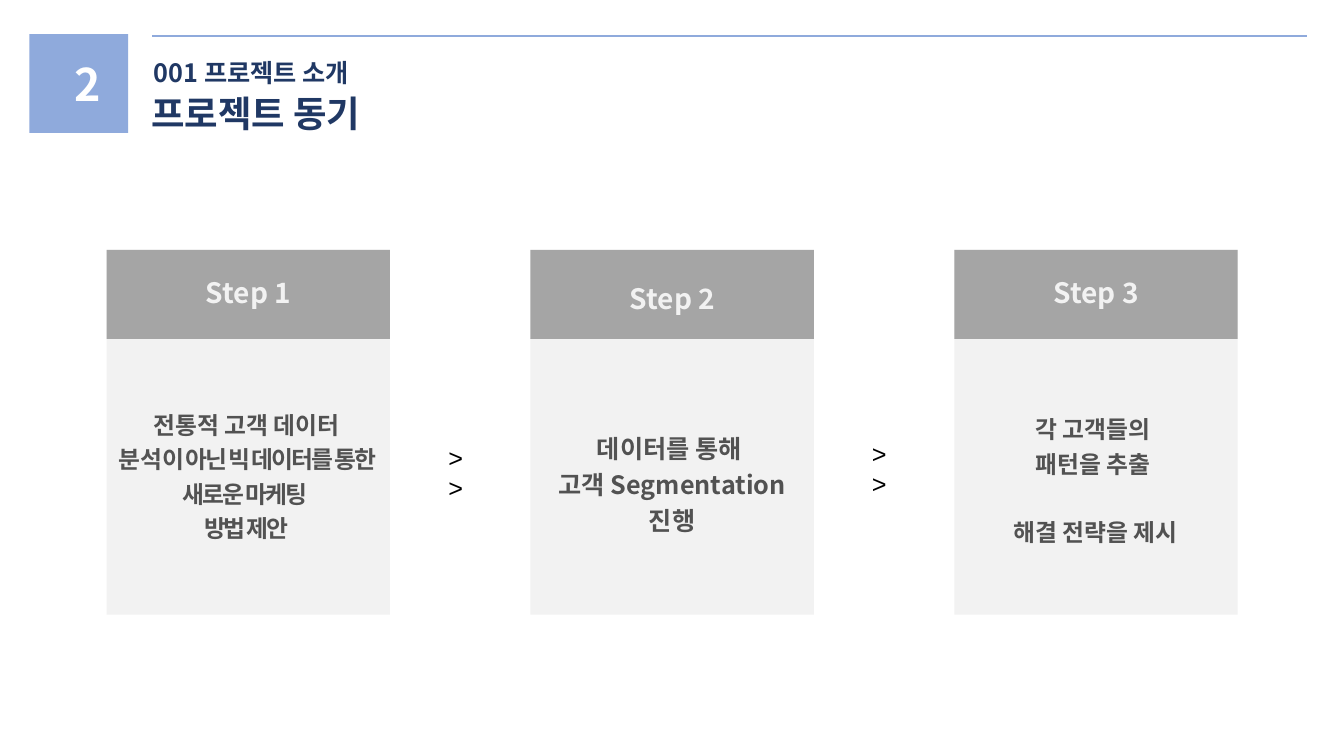
from lxml.etree import SubElement as Sub
from pptx import Presentation
from pptx.dml.color import RGBColor as Rgb
from pptx.enum.shapes import MSO_CONNECTOR as Link, MSO_SHAPE as Kind
from pptx.enum.text import MSO_ANCHOR as Anchor, PP_ALIGN as Align
from pptx.oxml.ns import qn
from pptx.util import Cm, Pt

# Content: a paragraph is a list of (text, letter spacing); "\n" breaks a line
TOPIC, TITLE, PAGE = "001 프로젝트 소개", "프로젝트 동기", "2"
STEPS = ["Step 1", "Step 2", "Step 3"]
DATA = [[("전통적 고객 데이터\n분석", 0),
         ("이 아닌 빅 데이터를 통한 새로운 마케팅 \n방법 제안", -150)]]
GROUP = [[("데이터를 통해 ", 0)], [("고객 Segmentation", 0)], [("진행", 0)]]
PLAN = [[("각 고객들의 ", 0)], [("패턴을 추출 ", 0)], [("해결 전략을 제시", 0)]]
ARROW = ">>"

# Formats
HUES = {"blue": "8FAADC", "navy": "203864", "gray": "A5A5A5", "pale": "F2F2F2",
        "dark": "525252", "white": "FFFFFF", "black": "000000"}
NOTO, ARIAL = "Noto Sans CJK KR", "Arial"
STYLES = {
    "page": ({"name": NOTO, "size": Pt(32), "bold": True}, "white"),
    "topic": ({"name": NOTO, "size": Pt(18), "bold": True}, "navy"),
    "title": ({"name": NOTO, "size": Pt(26), "bold": True}, "navy"),
    "step": ({"name": NOTO, "size": Pt(20), "bold": True}, "pale"),
    "body": ({"name": ARIAL, "size": Pt(17), "bold": True}, "dark"),
    "group": ({"name": NOTO, "size": Pt(18), "bold": True}, "dark"),
    "arrow": ({"name": ARIAL, "size": Pt(18), "bold": False}, "black"),
}
MID = {"alignment": Align.CENTER}
LOOSE = {"alignment": Align.CENTER, "line_spacing": 1.2}

# Card grid in cm
LEFT, TOP, PITCH, WIDE = 2.69, 6.3, 10.68, 7.14
HEAD, FULL = 2.24, 9.19

deck = Presentation()
deck.slide_width, deck.slide_height = Cm(33.87), Cm(19.05)
slide = deck.slides.add_slide(deck.slide_layouts[6])
shapes = slide.shapes


def hue(name):
    return Rgb.from_string(HUES[name])


def write(frame, paras, style, form):
    frame.word_wrap = True
    font, tint = STYLES[style]
    for i, parts in enumerate(paras):
        para = frame.paragraphs[0] if i == 0 else frame.add_paragraph()
        for key, val in form.items():
            setattr(para, key, val)
        for text, gap in parts:
            for n, line in enumerate(text.split("\n")):
                if n:
                    para.add_line_break()
                run = para.add_run()
                run.text = line
                for key, val in font.items():
                    setattr(run.font, key, val)
                run.font.color.rgb = hue(tint)
                props = run.font._element
                Sub(props, qn("a:ea"), typeface=NOTO)
                if gap:
                    props.set("spc", str(gap))


def label(area, paras, style, form):
    frame = shapes.add_textbox(*map(Cm, area)).text_frame
    write(frame, paras, style, form)
    return frame


def block(area, tint):
    box = shapes.add_shape(Kind.RECTANGLE, *map(Cm, area))
    box.shadow.inherit = False
    box.fill.solid()
    box.fill.fore_color.rgb = hue(tint)
    box.line.fill.background()
    return box


# Header
rule = shapes.add_connector(Link.STRAIGHT, Cm(3.84), Cm(0.91), Cm(32.94), Cm(0.91))
rule.line.color.rgb, rule.line.width = hue("blue"), Pt(1.5)
Sub(rule._element.spPr, qn("a:effectLst"))
block((0.74, 0.86, 2.49, 2.49), "blue")
label((1.63, 1.3, 0.71, 1.63), [[(PAGE, 0)]], "page", MID)
label((3.63, 1.32, 5.92, 1.02), [[(TOPIC, 0)]], "topic", {})
label((3.56, 2.18, 6.4, 1.37), [[(TITLE, 0)]], "title", {})

# Cards with their step names
cards = []
for i, (step, drop) in enumerate(zip(STEPS, (0.53, 0.66, 0.53))):
    x = LEFT + i * PITCH
    cards.append(block((x, TOP, WIDE, FULL) if i != 1
                       else (x, TOP + HEAD - 0.02, WIDE, FULL - HEAD + 0.02), "pale"))
    block((x, TOP, WIDE, HEAD), "gray")
    label((x + 1.9, TOP + drop, 3.35, 1.12), [[(step, 0)]], "step", MID)

# Card texts
label((LEFT, 10.08, 7.04, 3.73), DATA, "body", LOOSE)
frame = cards[1].text_frame
frame.vertical_anchor = Anchor.MIDDLE
frame.margin_top, frame.margin_bottom = Cm(0.38), Cm(0.13)
write(frame, GROUP, "group", LOOSE)
plan = label((24.82, 10.19, 5.59, 3.73), PLAN, "body", LOOSE)
plan.paragraphs[-1].space_before = Pt(24.5)

# Arrows between the cards
for x, y in ((11.05, 11.02), (21.72, 10.92)):
    label((x, y, 1.09, 1.02), [[(ARROW, 0)]], "arrow", {})

deck.save("out.pptx")
